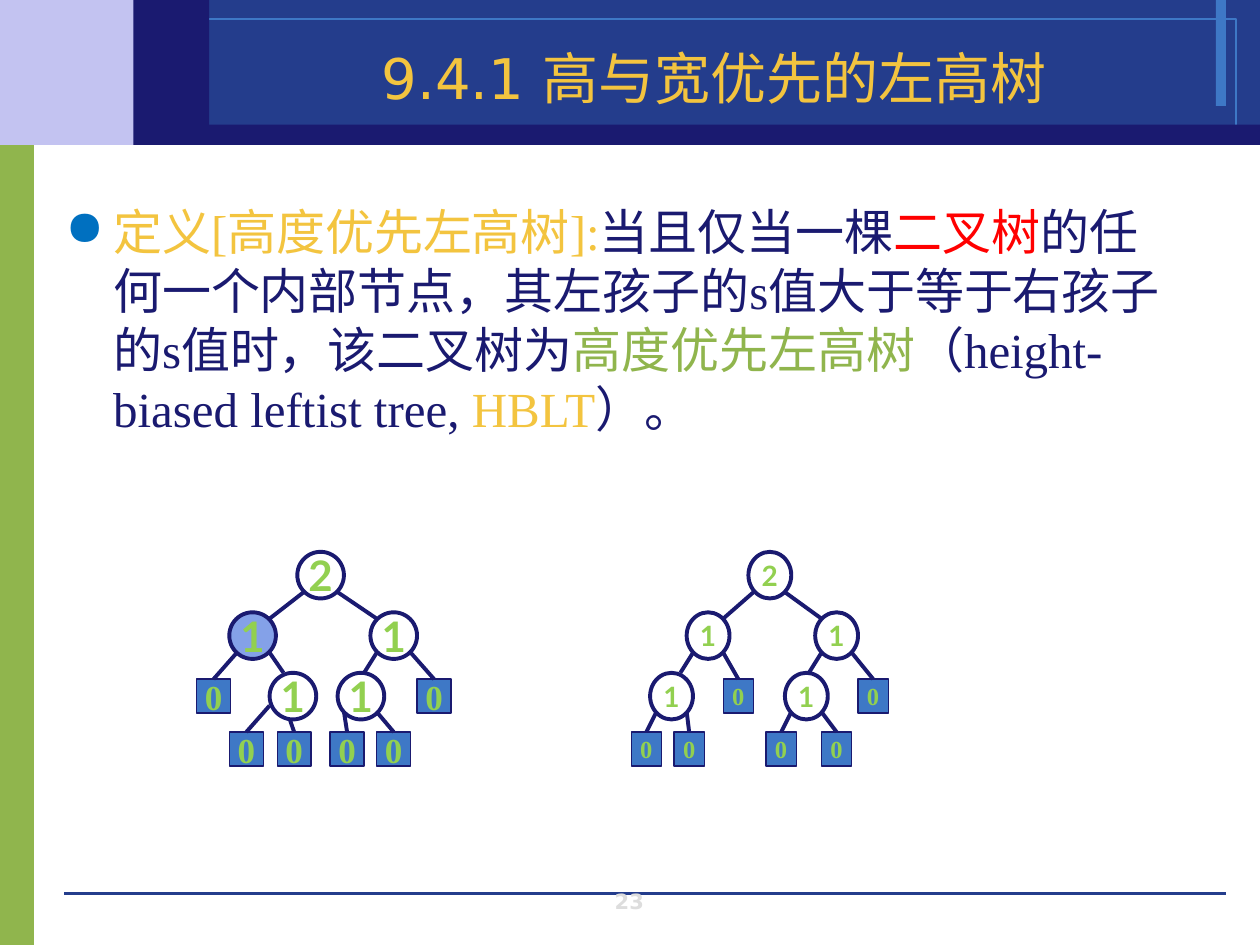
from lxml.etree import SubElement
from pptx import Presentation
from pptx.dml.color import RGBColor
from pptx.enum.shapes import MSO_CONNECTOR, MSO_SHAPE
from pptx.enum.text import MSO_ANCHOR, PP_ALIGN
from pptx.oxml.ns import qn
from pptx.util import Inches, Pt

NAVY = RGBColor(0x1A, 0x1A, 0x70)
ROYAL = RGBColor(0x24, 0x3D, 0x8C)
BLUE = RGBColor(0x3E, 0x78, 0xC6)
BULLET_BLUE = RGBColor(0x00, 0x70, 0xC0)
PERIWINKLE = RGBColor(0x84, 0xA1, 0xE8)
LAVENDER = RGBColor(0xC3, 0xC3, 0xF1)
GREEN = RGBColor(0x90, 0xB5, 0x4D)
LIME = RGBColor(0x92, 0xD0, 0x50)
GOLD = RGBColor(0xF3, 0xC4, 0x3F)
RED = RGBColor(0xFF, 0x00, 0x00)
GREY = RGBColor(0xDD, 0xDD, 0xDD)


def write(text, frame, font="DejaVu Sans", size=12, color=NAVY, bold=False,
          align=PP_ALIGN.CENTER, anchor=MSO_ANCHOR.MIDDLE, wrap=True, inset=None):
    frame.word_wrap = wrap
    frame.vertical_anchor = anchor
    if inset is not None:
        frame.margin_left = frame.margin_right = Inches(inset)
        frame.margin_top = frame.margin_bottom = Inches(inset)
    paragraph = frame.paragraphs[0]
    paragraph.alignment = align
    for words, run_color in [(text, color)] if isinstance(text, str) else text:
        run = paragraph.add_run()
        run.text = words
        run.font.name = font
        run.font.size = Pt(size)
        run.font.bold = bold
        run.font.color.rgb = run_color
    return paragraph


def add_outlined(shapes, kind, box, fill=None, line=None, width=0):
    shape = shapes.add_shape(kind, *[Inches(value) for value in box])
    shape.shadow.inherit = False
    if fill is None:
        shape.fill.background()
    else:
        shape.fill.solid()
        shape.fill.fore_color.rgb = fill
    if line is None:
        shape.line.fill.background()
    else:
        shape.line.color.rgb = line
        shape.line.width = Pt(width)
    return shape


presentation = Presentation()
presentation.slide_width = Inches(10)
presentation.slide_height = Inches(7.5)
slide = presentation.slides.add_slide(presentation.slide_layouts[5])

for box, fill, line in [
    ((0, 1.07, 0.27, 6.44), GREEN, None),
    ((0, 0, 1.53, 1.15), LAVENDER, None),
    ((1.53, 0, 8.47, 1.15), ROYAL, None),
    ((9.65, 0, 0.08, 0.84), BLUE, None),
    ((1.19, 0.15, 8.62, 0.85), None, BLUE),
    ((1.3, 0.99, 8.7, 0.16), NAVY, None),
    ((1.06, 0, 0.6, 1.15), NAVY, None),
]:
    add_outlined(slide.shapes, MSO_SHAPE.RECTANGLE, box, fill, line)

footer_rule = slide.shapes.add_connector(
    MSO_CONNECTOR.STRAIGHT, Inches(0.51), Inches(7.09), Inches(9.73), Inches(7.09))
footer_rule.line.color.rgb = ROYAL
footer_rule.line.width = Pt(0)
SubElement(footer_rule.element.spPr, qn("a:effectLst"))

page_number = slide.shapes.add_textbox(Inches(3.83), Inches(7.05), Inches(2.33), Inches(0.25))
write("23", page_number.text_frame, color=GREY, bold=True, anchor=MSO_ANCHOR.BOTTOM)

title = slide.shapes.title
title.left, title.top = Inches(1.38), Inches(0)
title.width, title.height = Inches(8.58), Inches(0.93)
write("9.4.1 高与宽优先的左高树", title.text_frame, size=32, color=GOLD,
      anchor=MSO_ANCHOR.BOTTOM)
title.element.getparent().append(title.element)

definition = slide.shapes.add_textbox(Inches(0.42), Inches(1.55), Inches(8.92), Inches(3.89))
paragraph = write([
    ("定义[高度优先左高树]:", GOLD),
    ("当且仅当一棵", NAVY),
    ("二叉树", RED),
    ("的任何一个内部节点，其左孩子的s值大于等于右孩子的s值时，该二叉树为", NAVY),
    ("高度优先左高树", GREEN),
    ("（height-biased leftist tree, ", NAVY),
    ("HBLT", GOLD),
    ("）。", NAVY),
], definition.text_frame, font="Times New Roman", size=28,
    align=PP_ALIGN.LEFT, anchor=MSO_ANCHOR.TOP)
properties = paragraph._p.get_or_add_pPr()
properties.set("marL", str(Inches(0.38)))
properties.set("indent", str(-Inches(0.38)))
bullet_color = SubElement(properties, qn("a:buClr"))
SubElement(bullet_color, qn("a:srgbClr"), val=str(BULLET_BLUE))
SubElement(properties, qn("a:buChar"), char="●")

NODE_ROWS = (4.38, 4.86, 5.34)
LEAF_ROWS = (5.39, 5.81)

# node: left, row, fill; leaf: left, row, parent x, parent y; branch: child x, y, parent x, y
trees = [
    {
        "node_width": 0.37, "node_size": 24, "leaf_width": 0.27, "leaf_size": 20,
        "nodes": [(2.36, 0, None), (1.82, 1, PERIWINKLE), (2.94, 1, None),
                  (2.14, 2, None), (2.68, 2, None)],
        "leaves": [(1.56, 0, 1.88, 5.18), (1.82, 1, 2.14, 5.6), (2.2, 1, 2.3, 5.71),
                   (2.62, 1, 2.73, 5.65), (2.99, 1, 2.99, 5.65), (3.31, 0, 3.26, 5.18)],
        "branches": [(2.14, 4.91, 2.41, 4.7), (2.99, 4.91, 2.68, 4.7),
                     (2.25, 5.34, 2.14, 5.18), (2.89, 5.34, 2.99, 5.18)],
    },
    {
        "node_width": 0.34, "node_size": 16, "leaf_width": 0.24, "leaf_size": 14,
        "nodes": [(5.94, 0, None), (5.45, 1, None), (6.47, 1, None),
                  (5.16, 2, None), (6.23, 2, None)],
        "leaves": [(5.74, 0, 5.74, 5.18), (5.01, 1, 5.21, 5.65), (5.35, 1, 5.45, 5.65),
                   (6.08, 1, 6.28, 5.65), (6.52, 1, 6.52, 5.65), (6.81, 0, 6.76, 5.18)],
        "branches": [(5.74, 4.91, 5.98, 4.7), (6.52, 4.91, 6.23, 4.7),
                     (5.4, 5.34, 5.5, 5.18), (6.42, 5.34, 6.52, 5.18)],
    },
]

for tree in trees:
    shapes = slide.shapes.add_group_shape().shapes
    for left, row, fill in tree["nodes"]:
        node = add_outlined(shapes, MSO_SHAPE.OVAL,
                            (left, NODE_ROWS[row], tree["node_width"], 0.37), fill, NAVY, 2.25)
        write("2" if row == 0 else "1", node.text_frame, font="Lato",
              size=tree["node_size"], color=LIME, bold=True, wrap=False, inset=0)

    edges = [(branch, None) for branch in tree["branches"]]
    for left, row, parent_x, parent_y in tree["leaves"]:
        top = LEAF_ROWS[row]
        leaf = add_outlined(shapes, MSO_SHAPE.RECTANGLE,
                            (left, top, tree["leaf_width"], 0.27), BLUE, NAVY, 0.75)
        write("0", leaf.text_frame, font="Times New Roman",
              size=tree["leaf_size"], color=LIME, bold=True, wrap=False, inset=0)
        edges.append(((left + tree["leaf_width"] / 2, top, parent_x, parent_y), leaf))

    for ends, leaf in edges:
        edge = shapes.add_connector(MSO_CONNECTOR.STRAIGHT, *[Inches(value) for value in ends])
        edge.line.color.rgb = NAVY
        edge.line.width = Pt(2.25)
        SubElement(edge.element.spPr, qn("a:effectLst"))
        if leaf is not None:
            edge.begin_connect(leaf, 0)

presentation.save("out.pptx")
